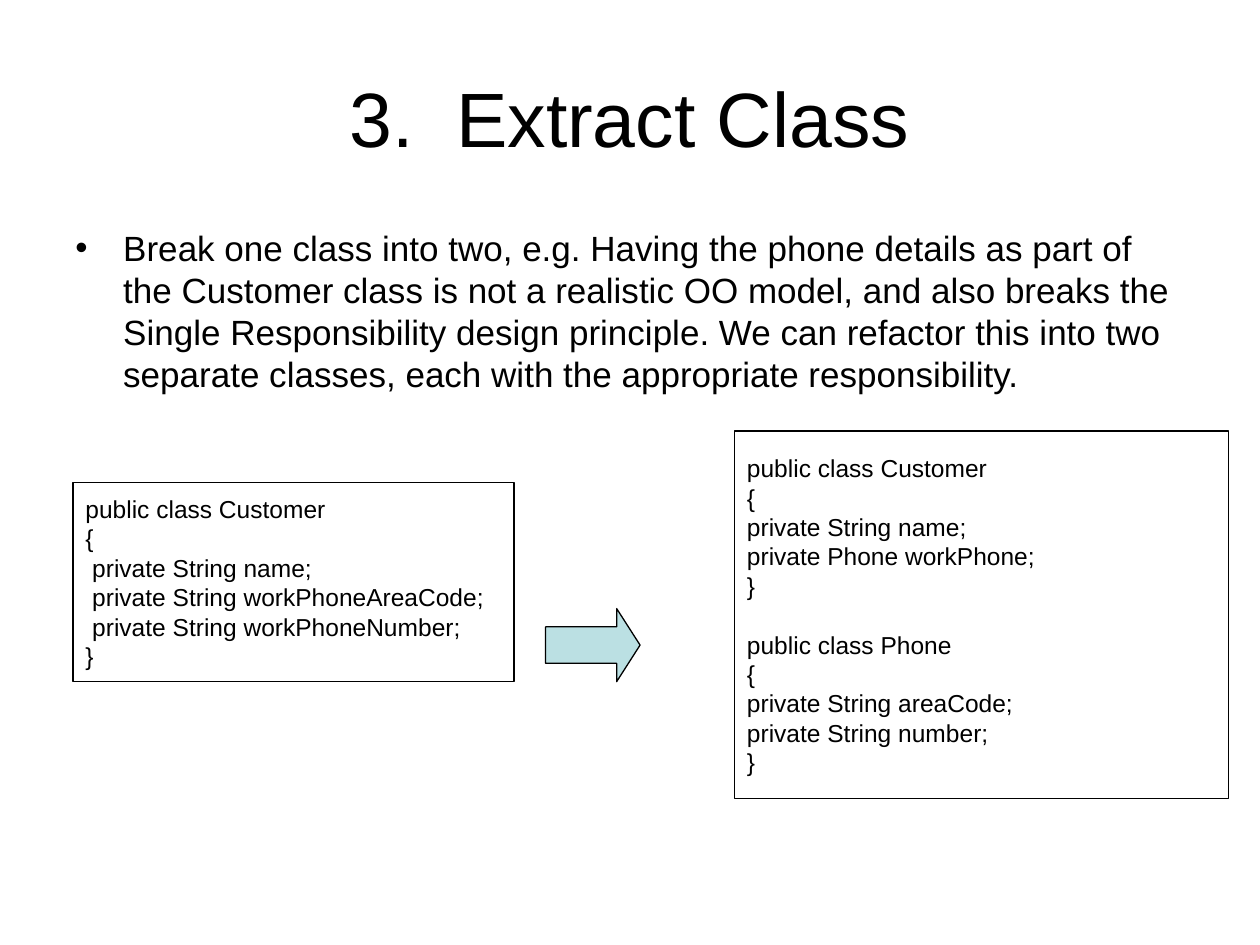
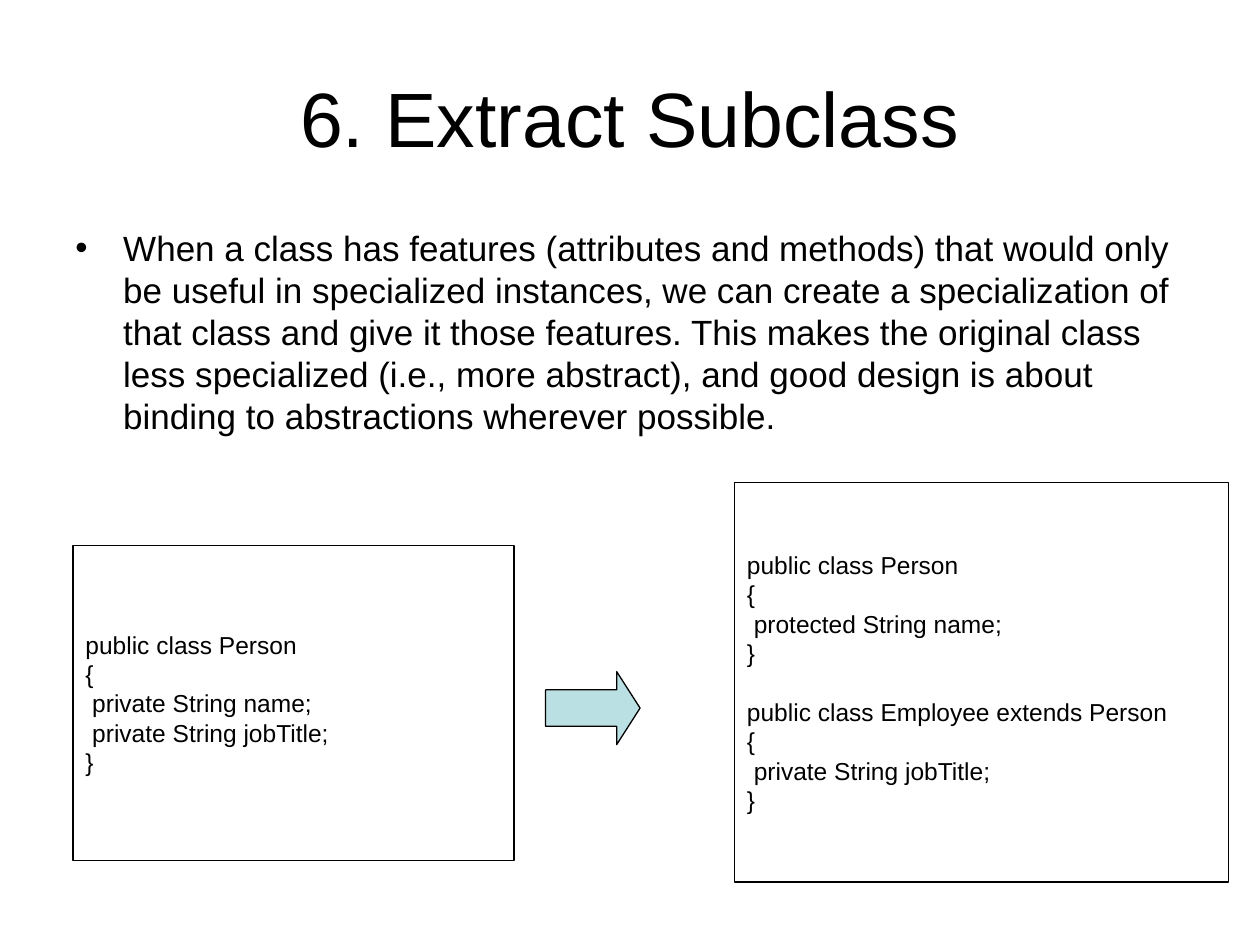
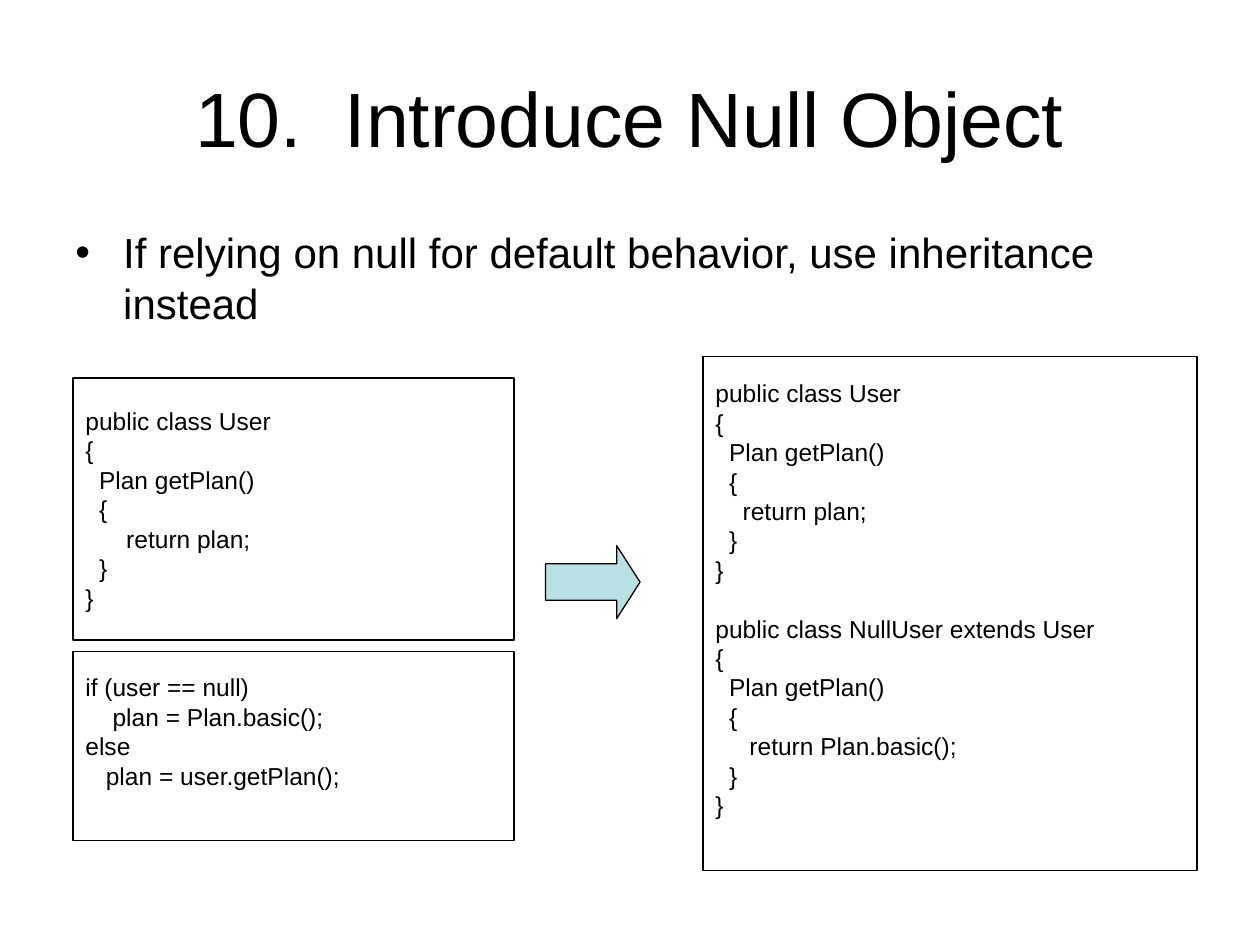
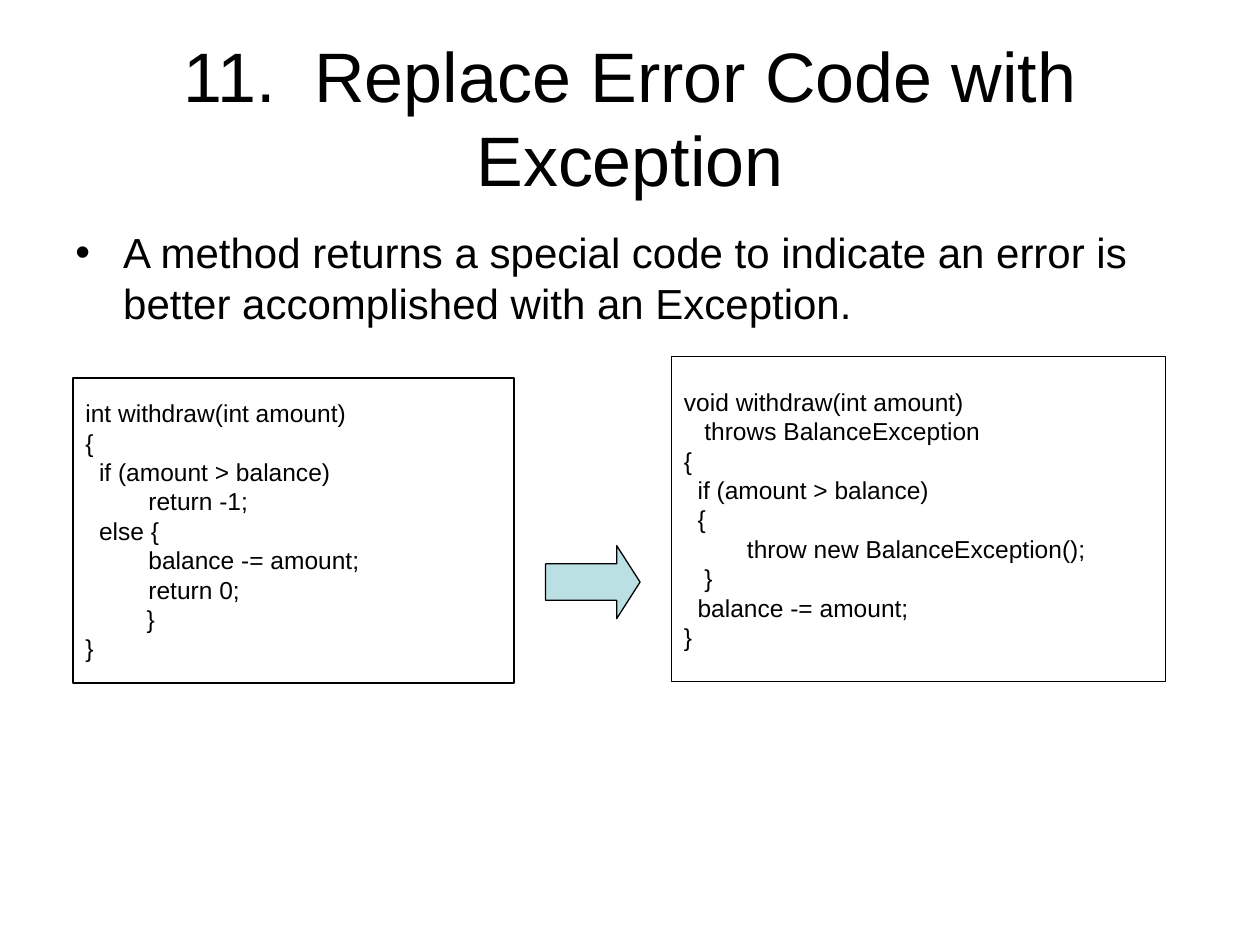
from lxml import etree
from pptx import Presentation
from pptx.dml.color import RGBColor
from pptx.enum.shapes import MSO_SHAPE
from pptx.enum.text import MSO_ANCHOR, MSO_AUTO_SIZE, PP_ALIGN
from pptx.oxml.ns import qn
from pptx.util import Inches, Pt

RECTANGLE, RIGHT_ARROW = MSO_SHAPE.RECTANGLE, MSO_SHAPE.RIGHT_ARROW
TOP, MIDDLE = MSO_ANCHOR.TOP, MSO_ANCHOR.MIDDLE
LEFT, CENTER = PP_ALIGN.LEFT, PP_ALIGN.CENTER
NO_AUTOFIT = MSO_AUTO_SIZE.NONE
TITLE_ONLY = 5

COLORS = {"ink": "000000", "paper": "FFFFFF", "arrow": "BBE0E3"}
FONT = "Arial"
CODE_SIZE = 14
CODE_LINE = 16.8
TITLE_BOX = (0.5, 0.3, 9, 1.25)
SUMMARY_BOX = (0.5, 1.75, 9, 4.95)
BEFORE_LEFT, BEFORE_WIDTH = 0.58, 3.5
ARROW_LEFT, ARROW_WIDTH, ARROW_HEIGHT = 4.33, 0.75, 0.58
AFTER_WIDTH = 3.92

REFACTORINGS = [
    {
        "title": "3.  Extract Class",
        "title_size": 44,
        "summary": "Break one class into two, e.g. Having the phone details as part of "
                   "the Customer class is not a realistic OO model, and also breaks the "
                   "Single Responsibility design principle. We can refactor this into two "
                   "separate classes, each with the appropriate responsibility.",
        "summary_size": 20,
        "before": [(3.83, 1.58, 0, """public class Customer
{
 private String name;
 private String workPhoneAreaCode;
 private String workPhoneNumber;
}""")],
        "arrow_top": 4.83,
        "after_left": 5.83,
        "after": (3.42, 2.92, 0, """public class Customer
{
private String name;
private Phone workPhone;
}

public class Phone
{
private String areaCode;
private String number;
}"""),
    },
    {
        "title": "6. Extract Subclass",
        "title_size": 44,
        "summary": "When a class has features (attributes and methods) that would only "
                   "be useful in specialized instances, we can create a specialization of "
                   "that class and give it those features. This makes the original class "
                   "less specialized (i.e., more abstract), and good design is about "
                   "binding to abstractions wherever possible.",
        "summary_size": 20,
        "before": [(4.33, 2.5, 0, """public class Person
{
 private String name;
 private String jobTitle;
}""")],
        "arrow_top": 5.33,
        "after_left": 5.83,
        "after": (3.83, 3.17, 0, """public class Person
{
 protected String name;
}

public class Employee extends Person
{
 private String jobTitle;
}"""),
    },
    {
        "title": "10.  Introduce Null Object",
        "title_size": 44,
        "summary": "If relying on null for default behavior, use inheritance instead",
        "summary_size": 24,
        "before": [(3, 2.08, 0, """public class User
{
  Plan getPlan()
  {
      return plan;
  }
}"""), (5.17, 1.5, 1, """if (user == null)
    plan = Plan.basic();
else
   plan = user.getPlan();""")],
        "arrow_top": 4.33,
        "after_left": 5.58,
        "after": (2.83, 4.08, 1, """public class User
{
  Plan getPlan()
  {
    return plan;
  }
}

public class NullUser extends User
{
  Plan getPlan()
  {
     return Plan.basic();
  }
}"""),
    },
    {
        "title": "11.  Replace Error Code with Exception",
        "title_size": 40,
        "summary": "A method returns a special code to indicate an error is "
                   "better accomplished with an Exception.",
        "summary_size": 24,
        "before": [(3, 2.42, 0, """int withdraw(int amount)
{
  if (amount > balance)
\treturn -1;
  else {
\tbalance -= amount;
\treturn 0;
         }
}""")],
        "arrow_top": 4.33,
        "after_left": 5.33,
        "after": (2.83, 2.58, 0, """void withdraw(int amount)
   throws BalanceException
{
  if (amount > balance)
  {
 \tthrow new BalanceException();
   }
  balance -= amount;
}"""),
    },
]


def color(name):
    """Return the named colour."""
    return RGBColor.from_string(COLORS[name])


def inches(box):
    """Return the lengths of a box in inches."""
    return [Inches(length) for length in box]


def style_paragraph(paragraph, size, alignment=LEFT):
    """Give a paragraph the shared font and ink."""
    paragraph.alignment = alignment
    for run in paragraph.runs:
        run.font.name = FONT
        run.font.size = Pt(size)
        run.font.color.rgb = color("ink")


def set_frame(frame, anchor, wrap=True):
    """Set the margins, anchor and wrapping of a text frame."""
    frame.auto_size = NO_AUTOFIT
    frame.word_wrap = wrap
    frame.vertical_anchor = anchor
    frame.margin_left = frame.margin_right = Inches(0.1)
    frame.margin_top = frame.margin_bottom = Inches(0.05)


def add_title(slide, box, text, size):
    """Place and format the title placeholder."""
    title = slide.shapes.title
    title.left, title.top, title.width, title.height = inches(box)
    set_frame(title.text_frame, MIDDLE)
    title.text_frame.text = text
    style_paragraph(title.text_frame.paragraphs[0], size, CENTER)


def add_summary(slide, box, text, size):
    """Add the bulleted summary of the refactoring."""
    frame = slide.shapes.add_textbox(*inches(box)).text_frame
    set_frame(frame, TOP)
    frame.text = text
    paragraph = frame.paragraphs[0]
    properties = paragraph._p.get_or_add_pPr()
    properties.set("marL", str(Inches(0.38)))
    properties.set("indent", str(-Inches(0.38)))
    etree.SubElement(properties, qn("a:buFont")).set("typeface", FONT)
    etree.SubElement(properties, qn("a:buChar")).set("char", "•")
    style_paragraph(paragraph, size)


def add_outlined(slide, kind, box):
    """Add a preset shape with a thin ink outline."""
    shape = slide.shapes.add_shape(kind, *inches(box))
    shape.shadow.inherit = False
    shape.line.color.rgb = color("ink")
    shape.line.width = Pt(0.75)
    return shape


def add_code(slide, box, code, spare_lines):
    """Add a framed listing, with room for spare lines below the code."""
    panel = add_outlined(slide, RECTANGLE, box)
    panel.fill.background()
    frame = panel.text_frame
    set_frame(frame, MIDDLE, wrap=False)
    frame.margin_bottom += Pt(spare_lines * CODE_LINE)
    blocks = [block.split("\n") for block in code.split("\n\n")]
    frame.text = "\n".join(line for block in blocks for line in block)
    for paragraph in frame.paragraphs:
        style_paragraph(paragraph, CODE_SIZE)
    block_start = 0
    for block in blocks[:-1]:
        block_start += len(block)
        frame.paragraphs[block_start].space_before = Pt(CODE_LINE)


def add_arrow(slide, box):
    """Add the arrow from the old code to the new code."""
    arrow = add_outlined(slide, RIGHT_ARROW, box)
    arrow.adjustments[0] = 0.5
    arrow.adjustments[1] = 0.32 * ARROW_WIDTH / ARROW_WIDTH
    arrow.fill.solid()
    arrow.fill.fore_color.rgb = color("arrow")


def add_refactoring(deck, content):
    """Add one slide with a summary and the code before and after."""
    slide = deck.slides.add_slide(deck.slide_layouts[TITLE_ONLY])
    slide.background.fill.solid()
    slide.background.fill.fore_color.rgb = color("paper")
    add_title(slide, TITLE_BOX, content["title"], content["title_size"])
    add_summary(slide, SUMMARY_BOX, content["summary"], content["summary_size"])
    for top, height, spare_lines, code in content["before"]:
        add_code(slide, (BEFORE_LEFT, top, BEFORE_WIDTH, height), code, spare_lines)
    add_arrow(slide, (ARROW_LEFT, content["arrow_top"], ARROW_WIDTH, ARROW_HEIGHT))
    top, height, spare_lines, code = content["after"]
    add_code(slide, (content["after_left"], top, AFTER_WIDTH, height), code, spare_lines)


def main():
    """Build and save the deck."""
    deck = Presentation()
    deck.slide_width, deck.slide_height = Inches(10), Inches(7.5)
    for content in REFACTORINGS:
        add_refactoring(deck, content)
    deck.save("out.pptx")


if __name__ == "__main__":
    main()
